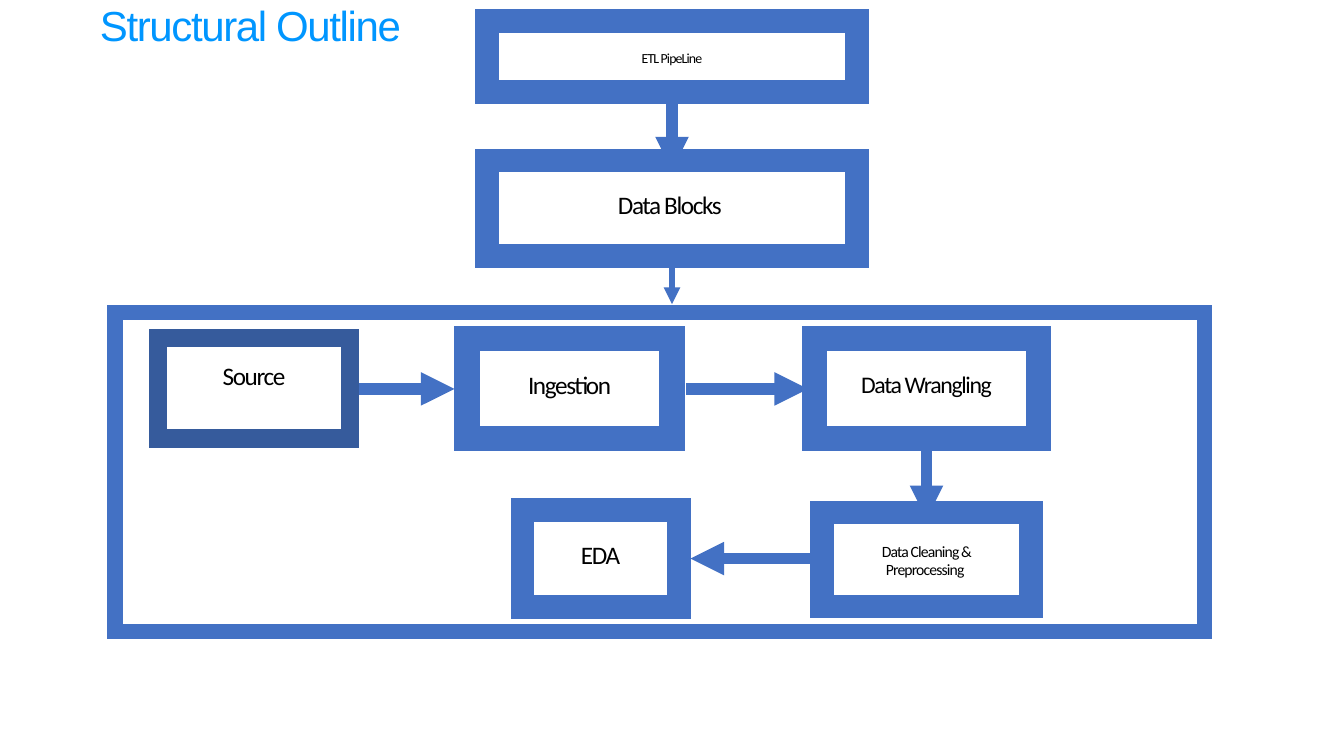
from dataclasses import dataclass

from lxml.etree import SubElement as sub
from pptx import Presentation
from pptx.dml.color import RGBColor as RGB
from pptx.enum.shapes import MSO_CONNECTOR as LINK, MSO_SHAPE as SHAPE
from pptx.enum.text import MSO_ANCHOR as ANCHOR, PP_ALIGN as ALIGN
from pptx.oxml.ns import qn
from pptx.util import Inches, Pt


@dataclass(frozen=True)
class Theme:
    blue: str = "4371C4"
    navy: str = "365B9C"
    sky: str = "0096FF"
    black: str = "000000"
    white: str = "FFFFFF"
    head: str = "Arial"
    body: str = "Calibri"
    title: float = 30
    large: float = 18
    medium: float = 17
    small: float = 11.2
    tiny: float = 9.9


def write(frame, text, *, size, font, color, track=-1, pad=3.6,
          align=ALIGN.LEFT, lead=1.0):
    """Set the text of a frame; pad and track are in points."""
    frame.word_wrap = True
    frame.vertical_anchor = ANCHOR.TOP
    frame.margin_left = frame.margin_right = Pt(pad)
    frame.margin_top = frame.margin_bottom = Pt(pad)
    para = frame.paragraphs[0]
    para.alignment, para.line_spacing = align, lead
    run = para.add_run()
    run.text = text
    run.font.size, run.font.name = Pt(size), font
    run.font.color.rgb = RGB.from_string(color)
    run.font._element.set("spc", str(round(track * 100)))


class Board:
    """A slide on a grid of 160 columns and 90 rows."""

    def __init__(self, deck, theme):
        self.theme = theme
        self.slide = deck.slides.add_slide(deck.slide_layouts[6])
        self.col = deck.slide_width / 160
        self.row = deck.slide_height / 90

    def place(self, x, y, w, h):
        return (round(x * self.col), round(y * self.row),
                round(w * self.col), round(h * self.row))

    def title(self, text, spot):
        t = self.theme
        box = self.slide.shapes.add_textbox(*self.place(*spot))
        write(box.text_frame, text, size=t.title, font=t.head,
              color=t.sky, lead=0.9)

    def frame(self, spot, edge, color=None, alpha=None):
        t = self.theme
        box = self.slide.shapes.add_shape(SHAPE.RECTANGLE, *self.place(*spot))
        box.shadow.inherit = False
        box.fill.solid()
        box.fill.fore_color.rgb = RGB.from_string(t.white)
        if alpha:
            tint = box.fill._xPr.find(".//" + qn("a:srgbClr"))
            sub(tint, qn("a:alpha"), val=str(alpha * 1000))
        box.line.width = Pt(edge)
        box.line.color.rgb = RGB.from_string(color or t.blue)
        sub(box.line._get_or_add_ln(), qn("a:miter"), lim="800000")
        return box

    def step(self, text, spot, size, edge=17, color=None, track=-1):
        t = self.theme
        box = self.frame(spot, edge, color)
        write(box.text_frame, text, size=size, font=t.body, color=t.black,
              track=track, pad=1.22 * edge, align=ALIGN.CENTER)

    def arrow(self, x1, y1, x2, y2, width=8):
        ends = self.place(x1, y1, x2, y2)
        link = self.slide.shapes.add_connector(LINK.STRAIGHT, *ends)
        link.line.width = Pt(width)
        link.line.color.rgb = RGB.from_string(self.theme.blue)
        sub(link.line._get_or_add_ln(), qn("a:tailEnd"), type="triangle")
        sub(link._element.spPr, qn("a:effectLst"))


def main():
    deck = Presentation()
    deck.slide_width, deck.slide_height = Inches(13.33), Inches(7.5)
    t = Theme()
    board = Board(deck, t)

    # Title and the panel round the process
    board.title("Structural Outline", (11.3, 0, 134.6, 79.2))
    board.frame((13.7, 37.2, 129.7, 38), 11, alpha=8)

    # Platform steps
    board.step("ETL PipeLine", (58, 2.5, 44, 8.5), t.tiny, track=-0.6)
    board.step("Data Blocks ", (58, 19.1, 44, 11.4), t.large)

    # Process steps
    board.step("Source", (18.8, 40.2, 22.9, 12), t.large, 13, t.navy)
    board.step("Ingestion", (55.6, 40.3, 24.4, 11.9), t.large, 18)
    board.step("Data Wrangling", (97, 40.3, 26.6, 11.9), t.medium, 18)
    board.step("Data Cleaning & Preprocessing ", (97.9, 61, 24.8, 11.2),
               t.small, track=-0.6)
    board.step("EDA", (62.2, 60.7, 18.6, 11.6), t.large)

    # Arrows in the order of the flow
    board.arrow(80, 11.5, 80, 20.3)
    board.arrow(80, 30.7, 80, 36.2, width=4)
    board.arrow(42.7, 46.3, 54.1, 46.3)
    board.arrow(81.7, 46.3, 96.2, 46.3)
    board.arrow(110.3, 53.2, 110.3, 61.8)
    board.arrow(96.5, 66.5, 82.2, 66.5)

    deck.save("out.pptx")


if __name__ == "__main__":
    main()
